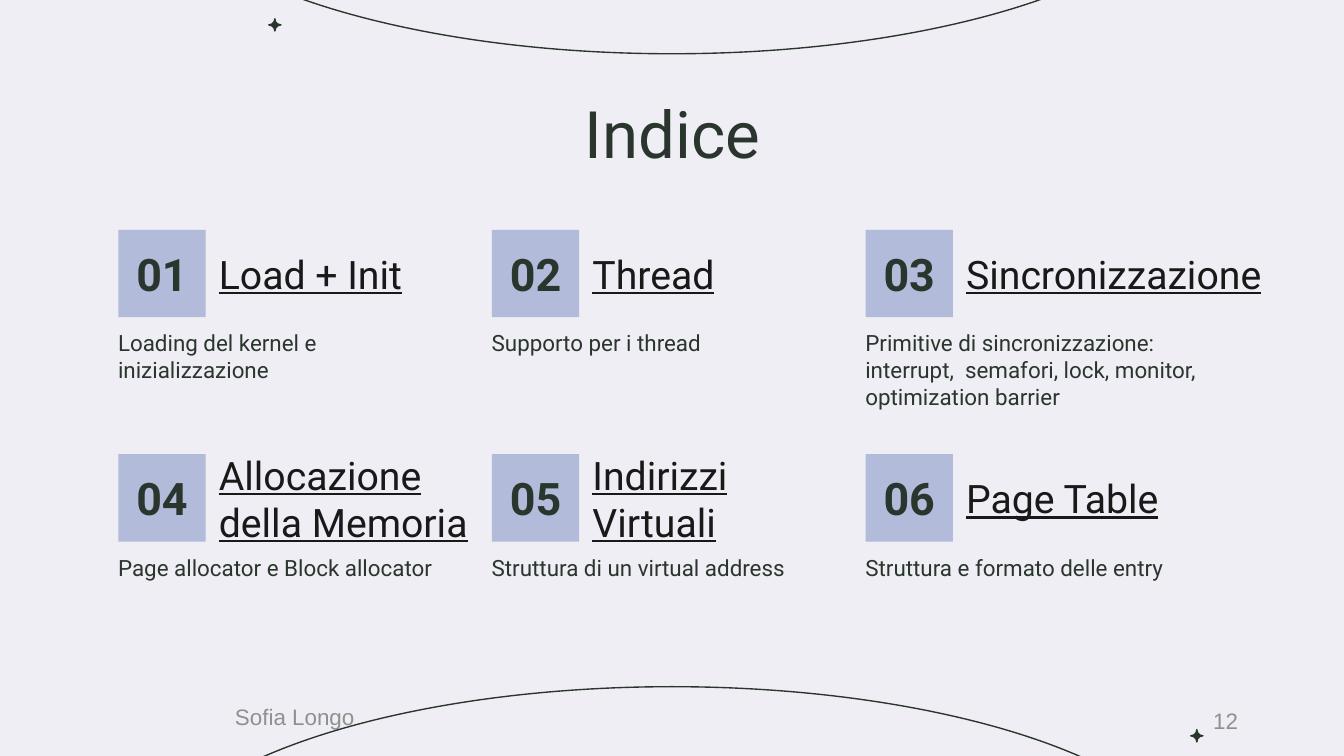
import pptx
import pptx.util
import pptx.dml.color
import pptx.enum.shapes
import pptx.enum.text

Inches = pptx.util.Inches
Pt = pptx.util.Pt
SHAPE = pptx.enum.shapes.MSO_SHAPE
ALIGN = pptx.enum.text.PP_ALIGN
ANCHOR = pptx.enum.text.MSO_ANCHOR

COLORS = {"background": "EFEEF4", "ink": "2A362D", "tile": "B2BBDA",
          "heading": "191919", "footer": "8E918F"}

TITLE = "Indice"
AUTHOR = "Sofia Longo"
PAGE = "12"
TOPICS = [
    ("Load + Init", "Loading del kernel e inizializzazione"),
    ("Thread", "Supporto per i thread"),
    ("Sincronizzazione", "Primitive di sincronizzazione: interrupt,  semafori, "
                         "lock, monitor, optimization barrier"),
    ("Allocazione della Memoria", "Page allocator e Block allocator"),
    ("Indirizzi Virtuali", "Struttura di un virtual address"),
    ("Page Table", "Struttura e formato delle entry"),
]

FORMATS = {
    "title": {"size": Pt(35), "name": "Roboto", "bold": False},
    "number": {"size": Pt(24), "name": "Roboto", "bold": True},
    "heading": {"size": Pt(21), "name": "Roboto", "underline": True},
    "summary": {"size": Pt(12), "name": "Roboto"},
    "footer": {"size": Pt(12), "name": "Arial"},
}

SLIDE_WIDTH = 10
SLIDE_HEIGHT = SLIDE_WIDTH * 9 / 16
COLUMNS = 3
GRID_LEFT, GRID_TOP = 0.88, 1.71
COLUMN_STEP, ROW_STEP = 2.78, 1.67
TILE = 0.65
INSET = 0.1
ARCS = [(1.05, -2.48), (1.05, 5.11)]
SPARKLES = [(2, 0.14), (8.86, 5.43)]


def color(key):
    return pptx.dml.color.RGBColor.from_string(COLORS[key])


def place(left, top, width, height):
    return [Inches(value) for value in (left, top, width, height)]


def write(holder, text, style, ink, align=ALIGN.LEFT, anchor=ANCHOR.MIDDLE):
    frame = holder.text_frame
    frame.text = text
    layout = {"word_wrap": True, "auto_size": pptx.enum.text.MSO_AUTO_SIZE.NONE,
              "vertical_anchor": anchor}
    for side in ("left", "right", "top", "bottom"):
        layout["margin_" + side] = Inches(INSET)
    for attribute, value in layout.items():
        setattr(frame, attribute, value)
    paragraph = frame.paragraphs[0]
    paragraph.alignment = align
    font = paragraph.runs[0].font
    for attribute, value in FORMATS[style].items():
        setattr(font, attribute, value)
    font.color.rgb = color(ink)


def add_text(slide, box, *content, **options):
    write(slide.shapes.add_textbox(*place(*box)), *content, **options)


def add_figure(slide, kind, box, fill=None, line=None):
    figure = slide.shapes.add_shape(kind, *place(*box))
    figure.shadow.inherit = False
    if fill:
        figure.fill.solid()
        figure.fill.fore_color.rgb = color(fill)
    else:
        figure.fill.background()
    if line:
        figure.line.color.rgb = color(line)
        figure.line.width = Pt(0.75)
    else:
        figure.line.fill.background()
    return figure


def add_topic(slide, index, heading, summary):
    row, column = divmod(index, COLUMNS)
    left = GRID_LEFT + column * COLUMN_STEP
    top = GRID_TOP + row * ROW_STEP
    long_heading = heading == "Sincronizzazione"
    tile = add_figure(slide, SHAPE.RECTANGLE, (left, top, TILE, TILE), fill="tile")
    write(tile, f"{index + 1:02}", "number", "ink", align=ALIGN.CENTER)
    add_text(slide, (left + TILE, top, 2.5 if long_heading else 2.12, TILE),
             heading, "heading", "heading")
    add_text(slide, (left - INSET, top + TILE - 0.01, 2.78, 0.79 if long_heading else 0.53),
             summary, "summary", "ink", anchor=ANCHOR.TOP)


def main():
    deck = pptx.Presentation()
    deck.slide_width, deck.slide_height = Inches(SLIDE_WIDTH), Inches(SLIDE_HEIGHT)
    slide = deck.slides.add_slide(deck.slide_layouts[5])
    slide.background.fill.solid()
    slide.background.fill.fore_color.rgb = color("background")

    add_text(slide, (1.65, 5.18, 2.25, 0.3), AUTHOR, "footer", "footer")
    for left, top in ARCS:
        add_figure(slide, SHAPE.OVAL, (left, top, 7.9, 2.88), line="ink")
    for left, top in SPARKLES:
        sparkle = add_figure(slide, SHAPE.PLAQUE, (left, top, 0.09, 0.09), "ink", "ink")
        sparkle.adjustments[0] = 0.5

    title = slide.shapes.title
    title.left, title.top, title.width, title.height = place(0.79, 0.59, 8.43, 0.63)
    write(title, TITLE, "title", "ink", align=ALIGN.CENTER, anchor=ANCHOR.TOP)

    for index, (heading, summary) in enumerate(TOPICS):
        add_topic(slide, index, heading, summary)
    add_text(slide, (7.06, 5.21, 2.25, 0.3), PAGE, "footer", "footer", align=ALIGN.RIGHT)
    deck.save("out.pptx")


if __name__ == "__main__":
    main()
